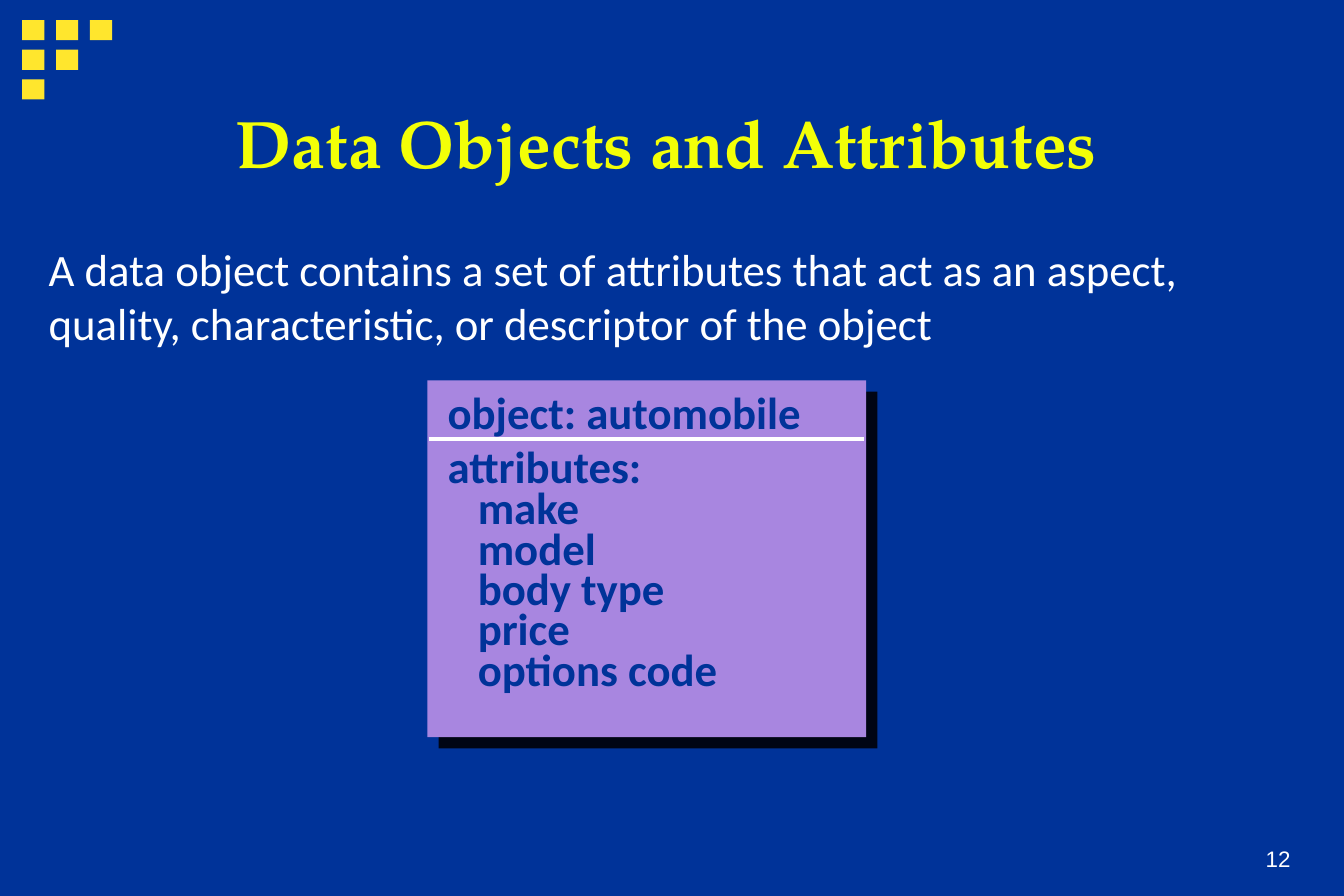
from dataclasses import dataclass

import lxml.etree
import pptx
import pptx.dml.color
import pptx.enum.shapes
import pptx.enum.text
import pptx.oxml
import pptx.oxml.ns
import pptx.util
from pptx.util import Cm

ALIGN = pptx.enum.text.PP_ALIGN
ANCHOR = pptx.enum.text.MSO_ANCHOR
COLORS = {
    "background": "003399",
    "squares": "FFE62D",
    "title": "F3FF07",
    "text": "FFFFFF",
    "card": "A886E0",
    "shadow": "000514",
}


@dataclass
class Box:
    left: float
    top: float
    width: float
    height: float

    def lengths(self) -> list:
        return [Cm(v) for v in (self.left, self.top, self.width, self.height)]


@dataclass
class Style:
    name: str
    size: int
    color: str
    bold: bool = False


@dataclass
class Line:
    text: str
    indent: float = 0
    spacing: float = 1.0


def rgb(key: str) -> pptx.dml.color.RGBColor:
    return pptx.dml.color.RGBColor.from_string(COLORS[key])


def add_rect(s, box: Box, color: str):
    sp = s.shapes.add_shape(pptx.enum.shapes.MSO_SHAPE.RECTANGLE, *box.lengths())
    sp.shadow.inherit = False
    sp.fill.solid()
    sp.fill.fore_color.rgb = rgb(color)
    sp.line.fill.background()
    return sp


def add_text(s, box: Box, lines: list[Line], style: Style, align=ALIGN.LEFT,
             anchor=ANCHOR.TOP, wrap: bool = True) -> None:
    tf = s.shapes.add_textbox(*box.lengths()).text_frame
    tf.word_wrap = wrap
    tf.vertical_anchor = anchor
    for i, line in enumerate(lines):
        p = tf.paragraphs[0] if i == 0 else tf.add_paragraph()
        p.alignment = align
        p.line_spacing = line.spacing
        if line.indent:
            p._p.get_or_add_pPr().set("marL", str(Cm(line.indent)))
        r = p.add_run()
        r.text = line.text
        values = {"name": style.name, "size": pptx.util.Pt(style.size), "bold": style.bold}
        for attr, value in values.items():
            setattr(r.font, attr, value)
        r.font.color.rgb = rgb(style.color)


def add_hard_shadow(sp, distance: float) -> None:
    """Cast an unblurred shadow down and to the right."""
    effects = sp._element.spPr.find(pptx.oxml.ns.qn("a:effectLst"))
    effects.append(pptx.oxml.parse_xml(
        f'<a:outerShdw {pptx.oxml.ns.nsdecls("a")} dist="{pptx.util.Pt(distance)}" '
        f'dir="2700000" algn="ctr" rotWithShape="0">'
        f'<a:srgbClr val="{COLORS["shadow"]}"/></a:outerShdw>'))


def add_rule(s, left: float, right: float, y: float) -> None:
    line = s.shapes.add_connector(pptx.enum.shapes.MSO_CONNECTOR.STRAIGHT,
                                  Cm(left), Cm(y), Cm(right), Cm(y))
    line.line.color.rgb = rgb("text")
    line.line.width = pptx.util.Pt(2)
    lxml.etree.SubElement(line._element.spPr, pptx.oxml.ns.qn("a:effectLst"))


def add_corner_squares(s) -> None:
    for row in range(3):
        for col in range(3 - row):
            add_rect(s, Box(0.42 + col * 0.64, 0.38 + row * 0.56, 0.42, 0.38), "squares")


def add_object_card(s) -> None:
    card = add_rect(s, Box(8.08, 7.19, 8.29, 6.74), "card")
    add_hard_shadow(card, 8.5)
    names = ["make", "model", "body type", "price", "options code"]
    lines = [Line("object: automobile"), Line("attributes:")]
    lines += [Line(name, 0.57, 0.75) for name in names]
    add_text(s, Box(8.21, 7.15, 7.19, 6.1), lines,
             Style("Calibri", 24, "background", True), wrap=False)
    add_rule(s, 8.11, 16.33, 8.29)


def main() -> None:
    prs = pptx.Presentation()
    prs.slide_width, prs.slide_height = Cm(25.4), Cm(16.929)
    s = prs.slides.add_slide(prs.slide_layouts[6])
    s.background.fill.solid()
    s.background.fill.fore_color.rgb = rgb("background")

    add_corner_squares(s)
    add_text(s, Box(22.89, 15.43, 1.75, 1.17), [Line("12")],
             Style("Arial", 12, "text"), ALIGN.RIGHT, ANCHOR.BOTTOM)
    add_text(s, Box(3.6, 1.09, 17.98, 3.18), [Line("Data Objects and Attributes")],
             Style("TeX Gyre Pagella", 36, "title", True), ALIGN.CENTER, ANCHOR.MIDDLE)
    add_text(s, Box(0.67, 4.45, 23.65, 2.29),
             [Line("A data object contains a set of attributes that act as an aspect, "
                   "quality, characteristic, or descriptor of the object")],
             Style("Calibri", 24, "text"))
    add_object_card(s)
    prs.save("out.pptx")


if __name__ == "__main__":
    main()
